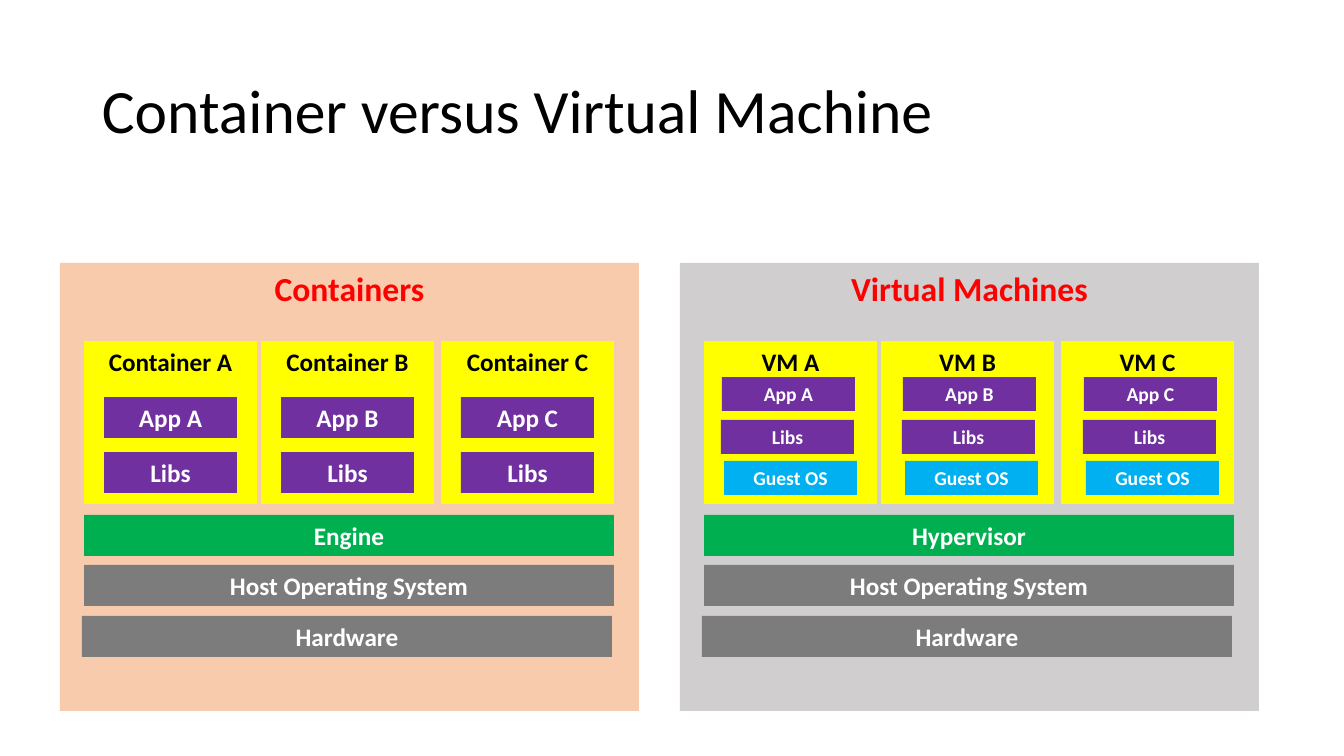
"""Build a slide comparing the layers of containers and virtual machines."""
from pptx import Presentation
from pptx.dml.color import RGBColor
from pptx.enum.shapes import MSO_SHAPE
from pptx.enum.text import MSO_ANCHOR, PP_ALIGN
from pptx.util import Emu, Pt

RECTANGLE = MSO_SHAPE.RECTANGLE
TOP, MIDDLE = MSO_ANCHOR.TOP, MSO_ANCHOR.MIDDLE
LEFT, CENTER = PP_ALIGN.LEFT, PP_ALIGN.CENTER
PX_PER_INCH = 100.8

THEME = {
    "font": "Calibri",
    "title": 44, "heading": 24, "label": 18, "small": 14,
    "black": "000000", "white": "FFFFFF", "red": "FF0000",
    "peach": "F8CBAD", "silver": "D0CECE", "yellow": "FFFF00",
    "purple": "7030A0", "blue": "00B0F0", "green": "00B050", "gray": "7C7C7C",
}


def px(*lengths):
    return [Emu(round(length * 914400 / PX_PER_INCH)) for length in lengths]


def add_box(page, area, text, size, color, fill=None):
    if fill:
        box = page.shapes.add_shape(RECTANGLE, *px(*area))
        box.shadow.inherit = False
        box.fill.solid()
        box.fill.fore_color.rgb = RGBColor.from_string(THEME[fill])
        box.line.fill.background()
    else:
        box = page.shapes.add_textbox(*px(*area))
    frame = box.text_frame
    frame.word_wrap = True
    frame.vertical_anchor = TOP if fill else MIDDLE
    para = frame.paragraphs[0]
    para.text = text
    para.alignment = CENTER if fill else LEFT
    para.line_spacing = 1.0 if fill else 0.9
    para.font.name = THEME["font"]
    para.font.size = Pt(THEME[size])
    para.font.bold = bool(fill)
    para.font.color.rgb = RGBColor.from_string(THEME[color])


deck = Presentation()
deck.slide_width, deck.slide_height = px(1344, 756)
page = deck.slides.add_slide(deck.slide_layouts[6])
add_box(page, (92, 41, 1159, 146), "Container versus Virtual Machine", "title", "black")

CARD_OFFSETS = (24, 201, 381)
PANELS = [
    {
        "left": 60, "heading": "Containers", "fill": "peach",
        "card": "Container", "engine": "Engine",
        "block_height": 41, "block_size": "label", "block_offsets": (20, 20, 20),
        "blocks": [("App {}", 0, 397, "purple"), ("Libs", 0, 452, "purple")],
    },
    {
        "left": 680, "heading": "Virtual Machines", "fill": "silver",
        "card": "VM", "engine": "Hypervisor",
        "block_height": 34, "block_size": "small", "block_offsets": (18, 22, 23),
        "blocks": [("App {}", 0, 377, "purple"), ("Libs", -1, 420, "purple"),
                   ("Guest OS", 2, 461, "blue")],
    },
]

for panel in PANELS:
    left = panel["left"]
    add_box(page, (left, 263, 579, 448), panel["heading"], "heading", "red", panel["fill"])

    for letter, card_offset, block_offset in zip("ABC", CARD_OFFSETS, panel["block_offsets"]):
        card_left = left + card_offset
        add_box(page, (card_left, 341, 173, 163), f"{panel['card']} {letter}",
                "label", "black", "yellow")
        for text, shift, top, fill in panel["blocks"]:
            area = (card_left + block_offset + shift, top, 133, panel["block_height"])
            add_box(page, area, text.format(letter), panel["block_size"], "white", fill)

    layers = [(panel["engine"], 24, 515, "green"),
              ("Host Operating System", 24, 565, "gray"),
              ("Hardware", 22, 616, "gray")]
    for text, offset, top, fill in layers:
        add_box(page, (left + offset, top, 530, 41), text, "label", "white", fill)

deck.save("out.pptx")
